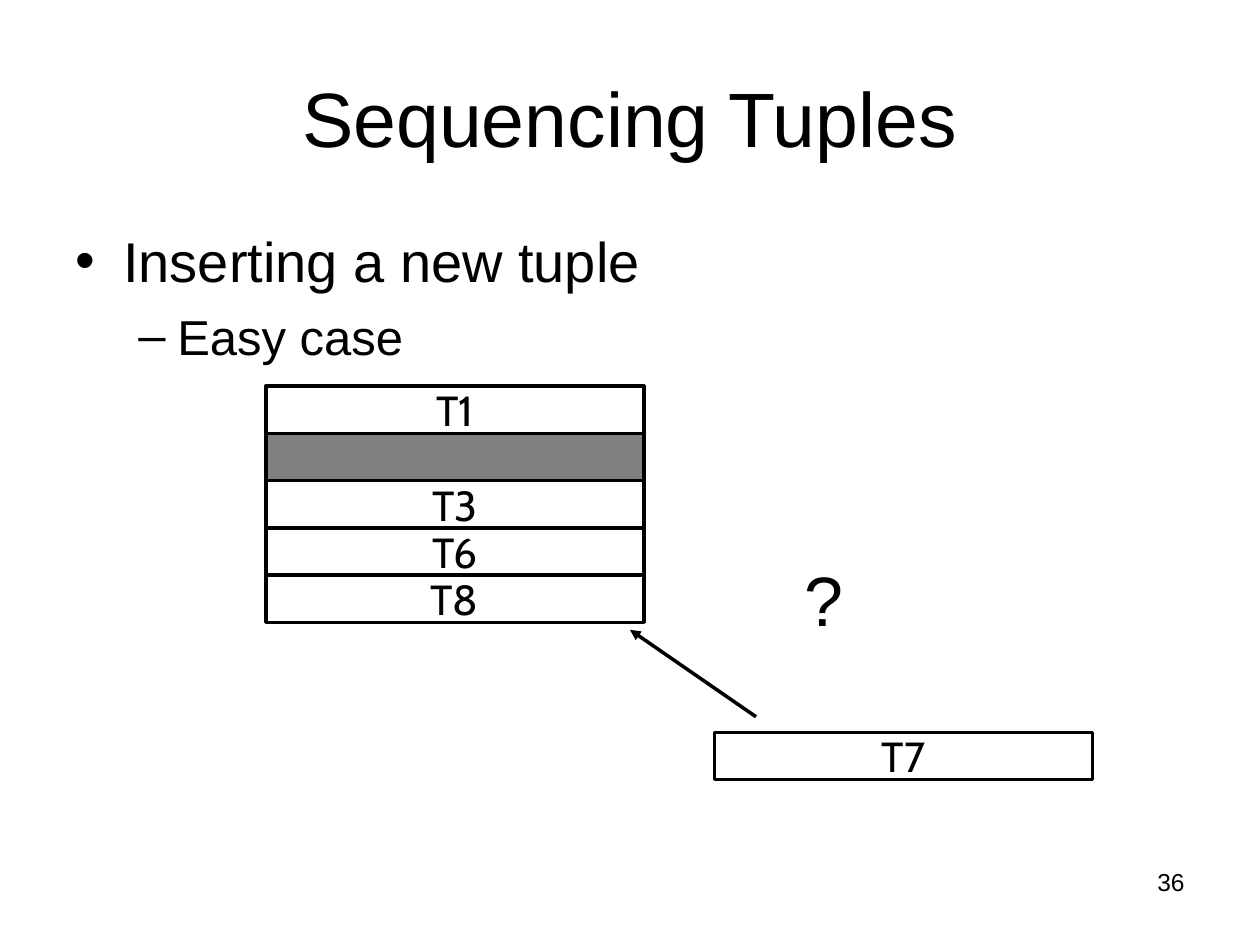
from typing import NamedTuple

from lxml.etree import SubElement
from pptx import Presentation
from pptx.dml.color import RGBColor as Rgb
from pptx.enum.shapes import MSO_CONNECTOR as Link, MSO_SHAPE as Kind
from pptx.enum.text import MSO_ANCHOR as Anchor, MSO_AUTO_SIZE as Fit, PP_ALIGN as Align
from pptx.oxml.ns import qn
from pptx.util import Inches, Pt

HUES = {"ink": "000000", "paper": "FFFFFF", "gap": "808080"}
WIDE, HIGH = Inches(10), Inches(7.5)
COL, ROW = WIDE / 10, HIGH / 20


class Box(NamedTuple):
    """Place and size in grid columns and rows."""
    x: float
    y: float
    w: float
    h: float

    def emu(self) -> tuple:
        return (round(self.x * COL), round(self.y * ROW),
                round(self.w * COL), round(self.h * ROW))


class Item(NamedTuple):
    text: str
    mark: str
    size: int
    left: float
    hang: float
    gap: int


TABLE = Box(2.11, 8.17, 3, 1)
TUPLES = ["T1", "", "T3", "T6", "T8"]
ITEMS = [Item("Inserting a new tuple", "•", 32, 0.38, 0.38, 0),
         Item("Easy case", "–", 28, 0.81, 0.31, 7)]


def hue(name: str) -> Rgb:
    return Rgb.from_string(HUES[name])


def write(para, text: str, size: int, face="Arial", align=Align.LEFT) -> None:
    para.text = text
    para.alignment = align
    font = para.font
    font.size, font.name = Pt(size), face
    font.color.rgb = hue("ink")


def add_text(slide, box: Box, wrap=True):
    frame = slide.shapes.add_textbox(*box.emu()).text_frame
    frame.word_wrap = wrap
    return frame


def add_tuple(slide, box: Box, text: str) -> None:
    """Draw one record slot; a slot without text is a gap."""
    slot = slide.shapes.add_shape(Kind.RECTANGLE, *box.emu())
    slot.shadow.inherit = False
    slot.fill.solid()
    slot.fill.fore_color.rgb = hue("paper" if text else "gap")
    slot.line.color.rgb = hue("ink")
    slot.line.width = Pt(2)
    if text:
        frame = slot.text_frame
        frame.word_wrap = False
        frame.vertical_anchor = Anchor.MIDDLE
        write(frame.paragraphs[0], text, 24, "Cabin", Align.CENTER)


def add_arrow(slide, start: tuple, end: tuple) -> None:
    ends = [round(n * unit) for point in (start, end)
            for n, unit in zip(point, (COL, ROW))]
    arrow = slide.shapes.add_connector(Link.STRAIGHT, *ends)
    arrow.line.color.rgb = hue("ink")
    arrow.line.width = Pt(2)
    SubElement(arrow.line._get_or_add_ln(), qn("a:tailEnd"), type="triangle")
    SubElement(arrow._element.spPr, qn("a:effectLst"))


def add_list(slide, box: Box, items: list) -> None:
    frame = add_text(slide, box)
    for i, item in enumerate(items):
        para = frame.add_paragraph() if i else frame.paragraphs[0]
        props = para._p.get_or_add_pPr()
        props.set("marL", str(Inches(item.left)))
        props.set("indent", str(-Inches(item.hang)))
        para.level = i
        para.space_before = Pt(item.gap)
        SubElement(props, qn("a:buFont"), typeface="Arial")
        SubElement(props, qn("a:buChar"), char=item.mark)
        write(para, item.text, item.size)


def main() -> None:
    deck = Presentation()
    deck.slide_width, deck.slide_height = WIDE, HIGH
    slide = deck.slides.add_slide(deck.slide_layouts[5])

    title = slide.shapes.title
    title.left, title.top, title.width, title.height = Box(0.5, 0.8, 9, 3.33).emu()
    title.text_frame.auto_size = Fit.NONE
    title.text_frame.vertical_anchor = Anchor.MIDDLE
    write(title.text_frame.paragraphs[0], "Sequencing Tuples", 44, align=Align.CENTER)

    add_list(slide, Box(0.5, 4.67, 9, 13.2), ITEMS)
    for i, text in enumerate(TUPLES):
        add_tuple(slide, TABLE._replace(y=TABLE.y + i * TABLE.h), text)
    add_tuple(slide, Box(5.67, 15.5, 3, 1), "T7")
    add_arrow(slide, (6, 15.17), (5, 13.33))

    query = add_text(slide, Box(6.29, 11.65, 0.51, 2.05), wrap=False)
    query.auto_size = Fit.SHAPE_TO_FIT_TEXT
    write(query.paragraphs[0], "?", 40)
    number = add_text(slide, Box(7.17, 18.21, 2.33, 1.39))
    write(number.paragraphs[0], "36", 14, align=Align.RIGHT)

    deck.save("out.pptx")


if __name__ == "__main__":
    main()
